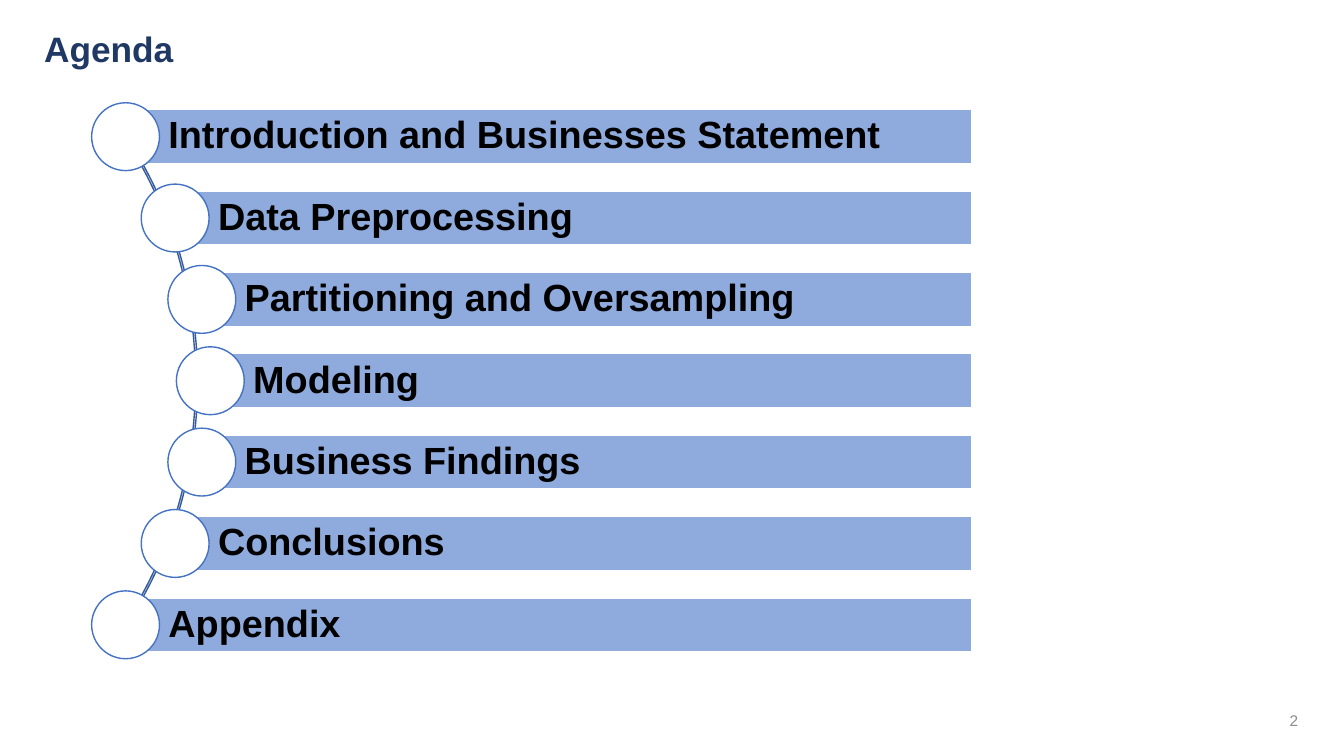
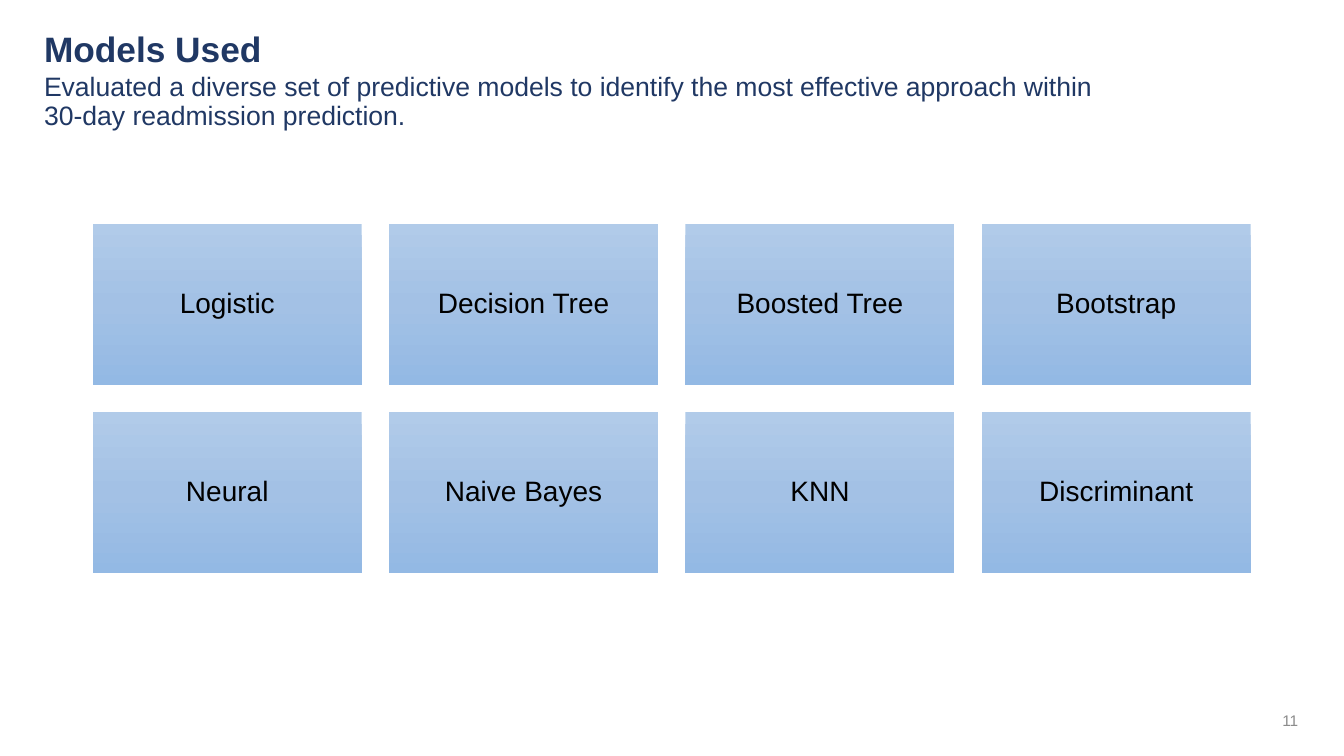
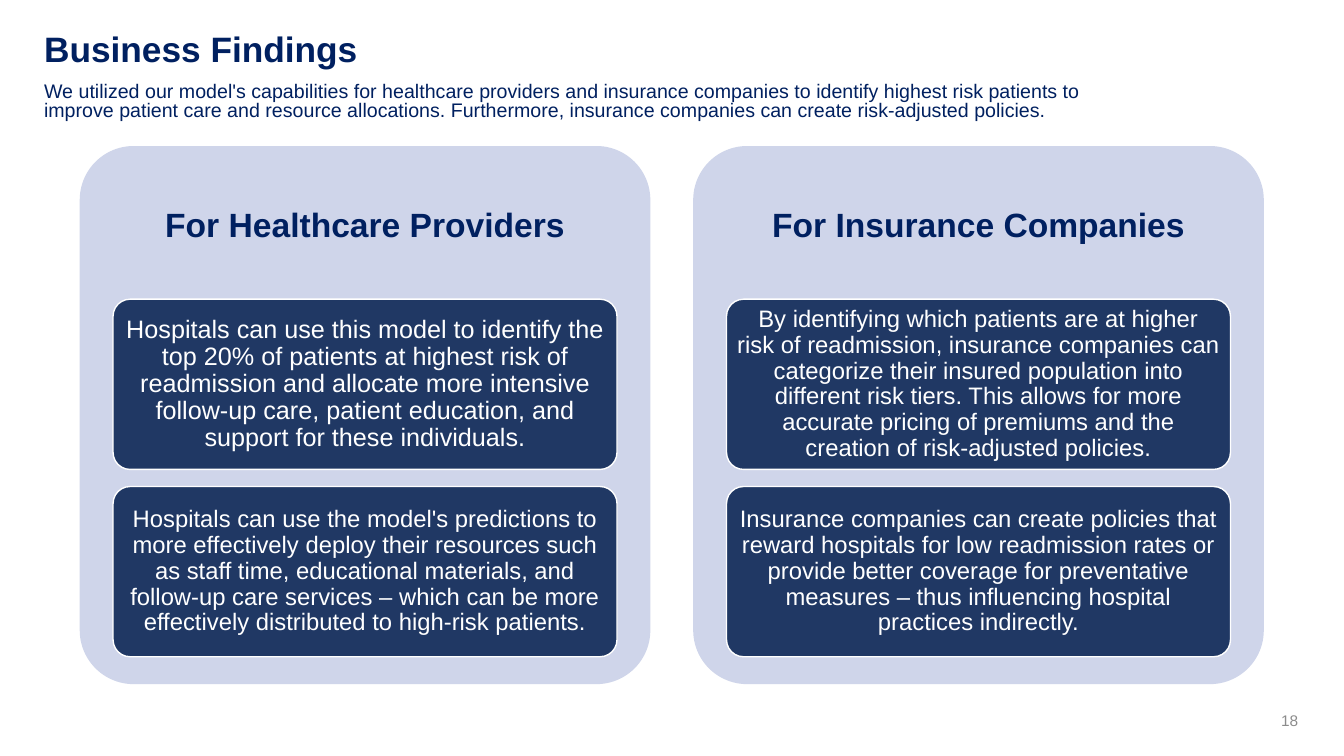
from copy import deepcopy
from math import sqrt

from lxml import etree
from pptx import Presentation
from pptx.dml.color import RGBColor
from pptx.enum.shapes import MSO_SHAPE
from pptx.enum.text import MSO_ANCHOR, MSO_AUTO_SIZE, PP_ALIGN
from pptx.oxml.ns import qn
from pptx.util import Cm, Pt

COLORS = {
    "navy": "203864",
    "midnight": "002060",
    "bar": "8FAADC",
    "ring": "4472C4",
    "arc": "365B9D",
    "panel": "CFD5EA",
    "tile_top": "B1CBE9",
    "tile_middle": "A3C1E5",
    "tile_bottom": "93B9E4",
    "number": "8C8C8C",
    "white": "FFFFFF",
    "black": "000000",
}
TITLE_BOX = (0.86, 0.64, 27.94, 1.3)
SUMMARY_BOX = (0.86, 1.9, 27.94, 1.37)
NUMBER_BOX = (25.35, 17.65, 7.62, 1.02)
TITLE_ONLY, TITLE_AND_BODY = 5, 1

AGENDA = [
    "Introduction and Businesses Statement",
    "Data Preprocessing",
    "Partitioning and Oversampling",
    "Modeling",
    "Business Findings",
    "Conclusions",
    "Appendix",
]
MODELS = [
    "Logistic", "Decision Tree", "Boosted Tree", "Bootstrap",
    "Neural", "Naive Bayes", "KNN", "Discriminant",
]
FINDINGS = [
    ("For Healthcare Providers", [
        ("Hospitals can use this model to identify the top 20% of patients at "
         "highest risk of readmission and allocate more intensive follow-up care, "
         "patient education, and support for these individuals.", 18),
        ("Hospitals can use the model's predictions to more effectively deploy "
         "their resources such as staff time, educational materials, and follow-up "
         "care services – which can be more effectively distributed to high-risk "
         "patients.", 17),
    ]),
    ("For Insurance Companies", [
        ("By identifying which patients are at higher risk of readmission, "
         "insurance companies can categorize their insured population into "
         "different risk tiers. This allows for more accurate pricing of premiums "
         "and the creation of risk-adjusted policies.", 17),
        ("Insurance companies can create policies that reward hospitals for low "
         "readmission rates or provide better coverage for preventative measures – "
         "thus influencing hospital practices indirectly.", 17),
    ]),
]


def rgb(color):
    return RGBColor.from_string(COLORS[color])


def place(shape, box):
    for side, length in zip(("left", "top", "width", "height"), box):
        setattr(shape, side, Cm(length))


def write(shape, text, size, color, bold=False, align=PP_ALIGN.LEFT,
          spacing=0.9, insets=(0.25, 0.13, 0.25, 0.13)):
    frame = shape.text_frame
    frame_format = {
        "word_wrap": True,
        "auto_size": MSO_AUTO_SIZE.NONE,
        "vertical_anchor": MSO_ANCHOR.MIDDLE,
    }
    for side, inset in zip(("left", "top", "right", "bottom"), insets):
        frame_format["margin_" + side] = Cm(inset)
    paragraph = frame.paragraphs[0]
    run = paragraph.add_run()
    run.text = text
    formats = [
        (frame, frame_format),
        (paragraph, {"alignment": align, "line_spacing": spacing,
                     "space_before": Pt(0)}),
        (run.font, {"name": "Arial", "size": Pt(size), "bold": bold}),
    ]
    for target, values in formats:
        for name, value in values.items():
            setattr(target, name, value)
    run.font.color.rgb = rgb(color)


def draw(slide, kind, box, fill=None, line=None):
    shape = slide.shapes.add_shape(kind, *map(Cm, box))
    shape.shadow.inherit = False
    if fill:
        shape.fill.solid()
        shape.fill.fore_color.rgb = rgb(fill)
    else:
        shape.fill.background()
    if line:
        shape.line.color.rgb = rgb(line)
        shape.line.width = Pt(1)
    else:
        shape.line.fill.background()
    return shape


def add_page(deck, title, number, color="navy", summary=None, size=19, spacing=0.9):
    layout = deck.slide_layouts[TITLE_AND_BODY if summary else TITLE_ONLY]
    slide = deck.slides.add_slide(layout)
    place(slide.shapes.title, TITLE_BOX)
    write(slide.shapes.title, title, 25.2, color, bold=True)
    if summary:
        body = slide.placeholders[1]
        place(body, SUMMARY_BOX)
        properties = body.text_frame.paragraphs[0]._p.get_or_add_pPr()
        properties.set("marL", "0")
        properties.set("indent", "0")
        etree.SubElement(properties, qn("a:buNone"))
        write(body, summary, size, color, spacing=spacing)
    page_number = slide.shapes.add_textbox(*map(Cm, NUMBER_BOX))
    write(page_number, str(number), 11, "number", align=PP_ALIGN.RIGHT, spacing=1)
    return slide


def add_agenda(slide, box, topics):
    left, top, width, height = box
    circle, bar_height, radius = 1.71, 1.36, 9.92
    middle = top + height / 2
    reach = (height - circle) / 2
    step = 2 * reach / (len(topics) - 1)
    arc = draw(slide, MSO_SHAPE.BLOCK_ARC, (left - 14.35, middle - 10, 17.02, 20),
               line="arc")
    for index, value in enumerate((189, 27, 0.003)):
        arc.adjustments[index] = value
    for index, topic in enumerate(topics):
        rise = index * step - reach
        x = left + circle / 2 + sqrt(radius**2 - rise**2) - sqrt(radius**2 - reach**2)
        y = middle + rise
        bar = draw(slide, MSO_SHAPE.RECTANGLE,
                   (x, y - bar_height / 2, left + width - x, bar_height),
                   "bar", "white")
        write(bar, topic, 27, "black", bold=True, insets=(1.08, 0.17, 0.17, 0.17))
        draw(slide, MSO_SHAPE.OVAL,
             (x - circle / 2, y - circle / 2, circle, circle), "white", "ring")


def shade(tile):
    tile.fill.gradient()
    tile.fill.gradient_angle = 270
    stop_list = tile.element.spPr.find(".//" + qn("a:gsLst"))
    stop_list.insert(1, deepcopy(stop_list[0]))
    colors = ("tile_top", "tile_middle", "tile_bottom")
    for stop, color, position in zip(tile.fill.gradient_stops, colors, (0, 0.5, 1)):
        stop.color.rgb = rgb(color)
        stop.position = position


def add_models(slide, box, models, columns=4, gap=0.69):
    left, top, width, height = box
    rows = len(models) // columns
    tile_width = (width - gap * (columns - 1)) / columns
    tile_height = (height - gap * (rows - 1)) / rows
    for index, model in enumerate(models):
        row, column = divmod(index, columns)
        tile = draw(slide, MSO_SHAPE.RECTANGLE,
                    (left + column * (tile_width + gap),
                     top + row * (tile_height + gap), tile_width, tile_height))
        shade(tile)
        write(tile, model, 20, "black", align=PP_ALIGN.CENTER, insets=(0.2,) * 4)


def add_audience(slide, box, audience, findings):
    left, top, width, height = box
    side, card_top, card_height, gap = 0.84, 3.86, 4.29, 0.43
    panel = draw(slide, MSO_SHAPE.ROUNDED_RECTANGLE, box, "panel")
    panel.adjustments[0] = 0.1
    header = slide.shapes.add_textbox(*map(Cm, (left, top, width, 4.06)))
    write(header, audience, 24, "midnight", bold=True, align=PP_ALIGN.CENTER)
    for index, (finding, size) in enumerate(findings):
        card = draw(slide, MSO_SHAPE.ROUNDED_RECTANGLE,
                    (left + side, top + card_top + index * (card_height + gap),
                     width - 2 * side, card_height), "navy", "white")
        card.adjustments[0] = 0.1
        write(card, finding, size, "white", align=PP_ALIGN.CENTER,
              insets=(0.13, 0.1, 0.13, 0.1))


def add_findings(slide, box, audiences, gap=1.08):
    left, top, width, height = box
    panel_width = (width - gap * (len(audiences) - 1)) / len(audiences)
    for index, (audience, findings) in enumerate(audiences):
        add_audience(slide, (left + index * (panel_width + gap), top,
                             panel_width, height), audience, findings)


def main():
    deck = Presentation()
    deck.slide_width, deck.slide_height = Cm(33.87), Cm(19.05)

    agenda = add_page(deck, "Agenda", 2)
    add_agenda(agenda, (2.31, 2.59, 22.18, 14.01), AGENDA)

    models = add_page(
        deck, "Models Used", 11,
        summary="Evaluated a diverse set of predictive models to identify the most "
                "effective approach within 30-day readmission prediction.")
    add_models(models, (2.34, 5.64, 29.18, 8.81), MODELS)

    findings = add_page(
        deck, "Business Findings", 18, "midnight",
        summary="We utilized our model's capabilities for healthcare providers and "
                "insurance companies to identify highest risk patients to improve "
                "patient care and resource allocations. Furthermore, insurance "
                "companies can create risk-adjusted policies.",
        size=14, spacing=0.8)
    add_findings(findings, (2.01, 3.68, 29.84, 13.56), FINDINGS)

    deck.save("out.pptx")


if __name__ == "__main__":
    main()
